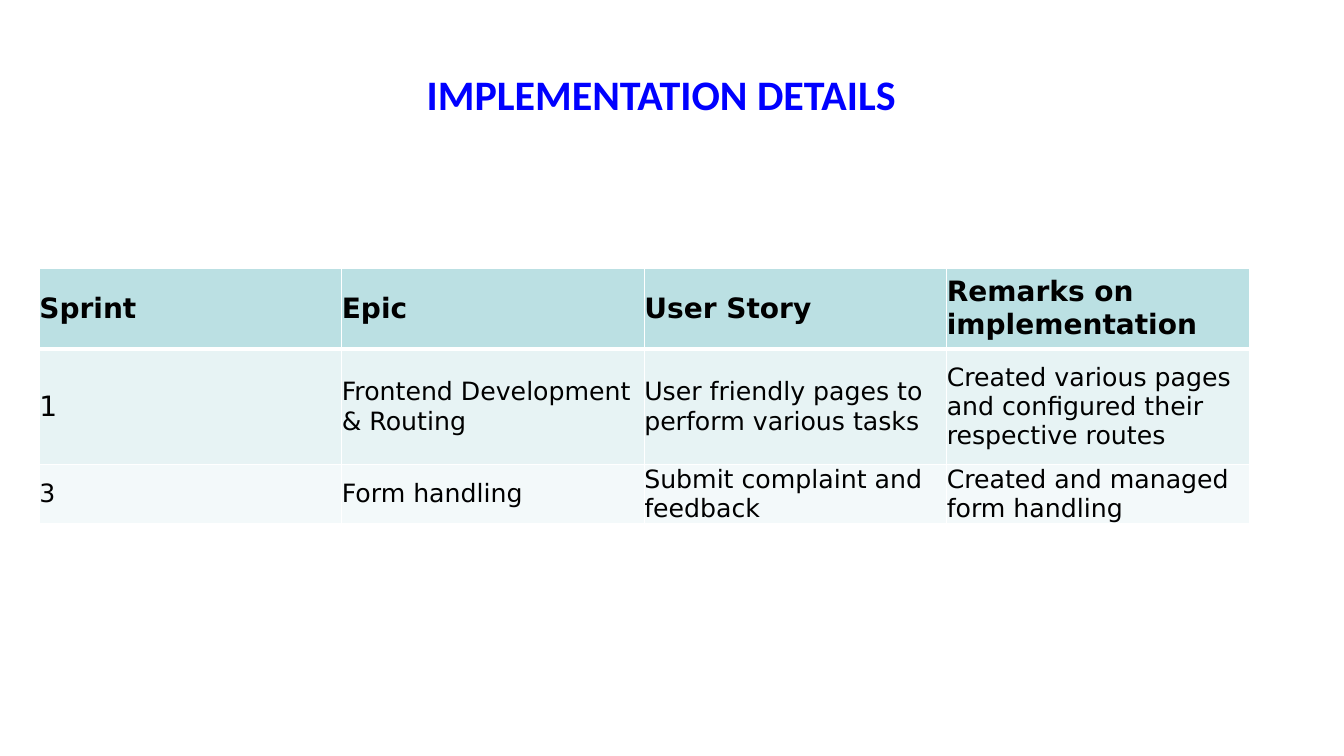
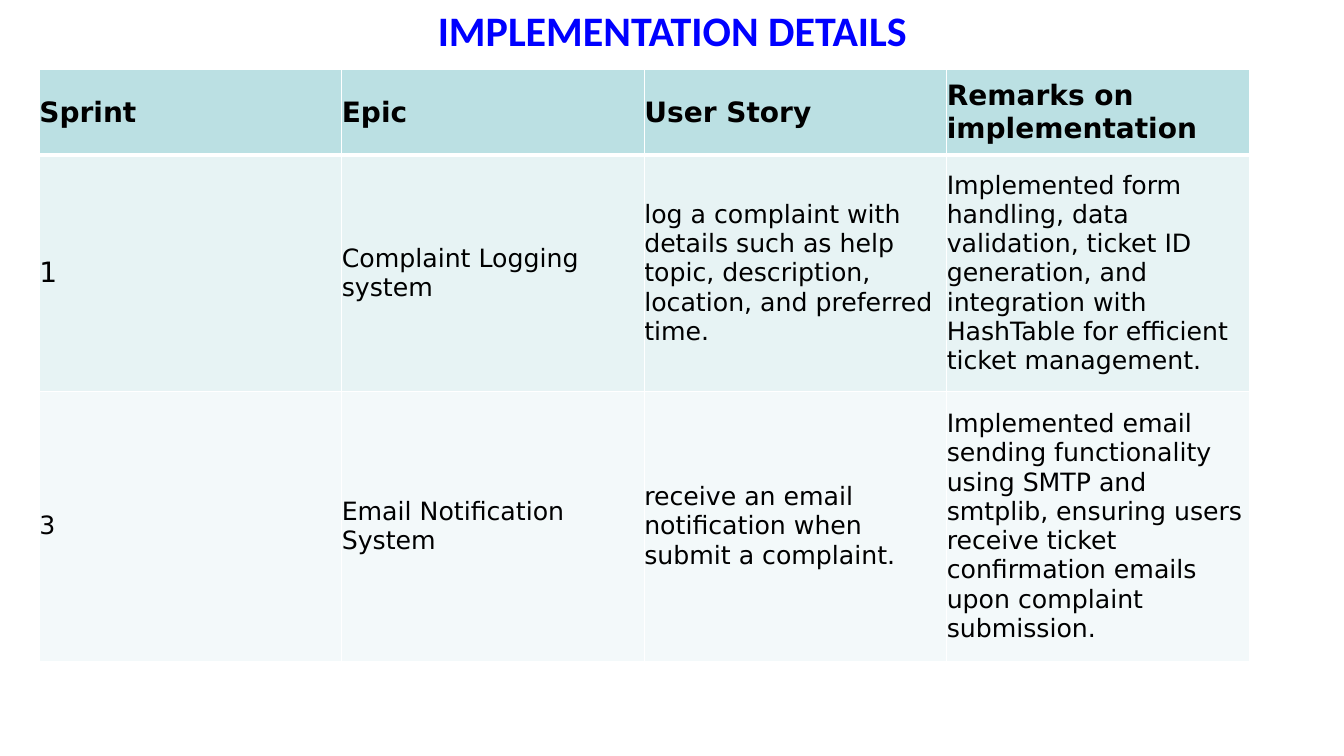
from dataclasses import dataclass

from lxml.etree import SubElement
from pptx import Presentation
from pptx.dml.color import RGBColor
from pptx.enum.text import MSO_ANCHOR as Anchor, PP_ALIGN as Align
from pptx.oxml.ns import qn
from pptx.util import Pt

TITLE = "IMPLEMENTATION DETAILS"
HEADINGS = ("Sprint", "Epic", "User Story", "Remarks on implementation")
PAGES = [
    {
        "title_at": (56, 53),
        "table_top": 266,
        "row_heights": (80, 115, 58),
        "rows": [
            ("1", "Frontend Development & Routing",
             "User friendly pages to perform various tasks",
             "Created various pages and configured their respective routes"),
            ("3", "Form handling", "Submit complaint and feedback",
             "Created and managed form handling"),
        ],
    },
    {
        "title_at": (67, -10),
        "table_top": 69,
        "row_heights": (85, 234, 268),
        "rows": [
            ("1", "Complaint Logging system",
             "log a complaint with details such as help topic, description, "
             "location, and preferred time.",
             "Implemented form handling, data validation, ticket ID generation, "
             "and integration with HashTable for efficient ticket management."),
            ("3", "Email Notification System",
             "receive an email notification when submit a complaint.",
             "Implemented email sending functionality using SMTP and smtplib, "
             "ensuring users receive ticket confirmation emails upon complaint "
             "submission."),
        ],
    },
]


@dataclass(frozen=True)
class Theme:
    title_font: str = "Calibri"
    table_font: str = "DejaVu Sans"
    title_color: str = "0000FF"
    text_color: str = "000000"
    border_color: str = "FFFFFF"
    row_fills: tuple = ("BBE0E3", "E7F3F4", "F3F9FA")
    title_size: int = 30
    large_size: int = 20
    body_size: int = 18
    thin_border: int = 1
    thick_border: int = 3


THEME = Theme()
SLIDE_SIZE = (1333, 750)
TITLE_SIZE = (1200, 79)
TABLE_LEFT, TABLE_WIDTH = 39, 1200
TITLE_ONLY = 5


def px(length):
    return length * 9144


def write(frame, text, font, size, color, bold, align):
    para = frame.paragraphs[0]
    para.alignment = align
    span = para.add_run()
    span.text = text
    span.font.name = font
    span.font.size = Pt(size)
    span.font.bold = bold
    span.font.color.rgb = RGBColor.from_string(color)


def add_title(page, position):
    box = page.shapes.title
    box.left, box.top = map(px, position)
    box.width, box.height = map(px, TITLE_SIZE)
    box.text_frame.vertical_anchor = Anchor.MIDDLE
    write(box.text_frame, TITLE, THEME.title_font, THEME.title_size,
          THEME.title_color, True, Align.CENTER)


def set_borders(cell, row):
    thick_side = {0: "lnB", 1: "lnT"}.get(row)
    properties = cell._tc.get_or_add_tcPr()
    for side in ("lnL", "lnR", "lnT", "lnB"):
        width = THEME.thick_border if side == thick_side else THEME.thin_border
        line = SubElement(properties, qn(f"a:{side}"), w=str(Pt(width)))
        fill = SubElement(line, qn("a:solidFill"))
        SubElement(fill, qn("a:srgbClr"), val=THEME.border_color)


def fill_cell(cell, text, row, column):
    cell.margin_left = cell.margin_right = cell.margin_top = cell.margin_bottom = 0
    cell.vertical_anchor = Anchor.MIDDLE
    set_borders(cell, row)
    cell.fill.solid()
    cell.fill.fore_color.rgb = RGBColor.from_string(THEME.row_fills[row])
    is_large = row == 0 or (row, column) == (1, 0)
    size = THEME.large_size if is_large else THEME.body_size
    write(cell.text_frame, text, THEME.table_font, size, THEME.text_color,
          row == 0, Align.LEFT)


def add_sprint_table(page, top, heights, rows):
    content = [HEADINGS, *rows]
    table = page.shapes.add_table(
        len(content), len(HEADINGS), px(TABLE_LEFT), px(top),
        px(TABLE_WIDTH), px(sum(heights))).table
    for column in table.columns:
        column.width = px(TABLE_WIDTH // len(HEADINGS))
    for row, (height, texts) in enumerate(zip(heights, content)):
        table.rows[row].height = px(height)
        for column, text in enumerate(texts):
            fill_cell(table.cell(row, column), text, row, column)


def main():
    deck = Presentation()
    deck.slide_width, deck.slide_height = map(px, SLIDE_SIZE)
    for content in PAGES:
        page = deck.slides.add_slide(deck.slide_layouts[TITLE_ONLY])
        add_title(page, content["title_at"])
        add_sprint_table(page, content["table_top"], content["row_heights"],
                         content["rows"])
    deck.save("out.pptx")


if __name__ == "__main__":
    main()
